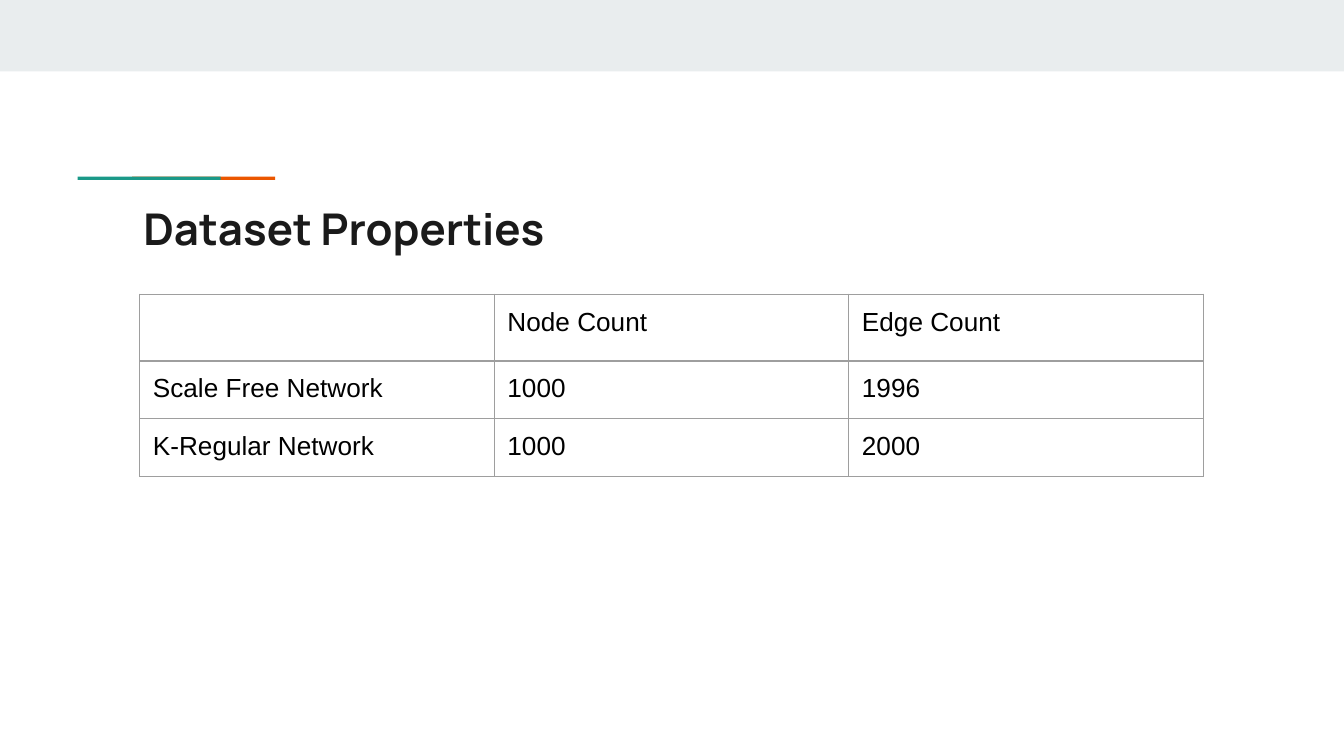
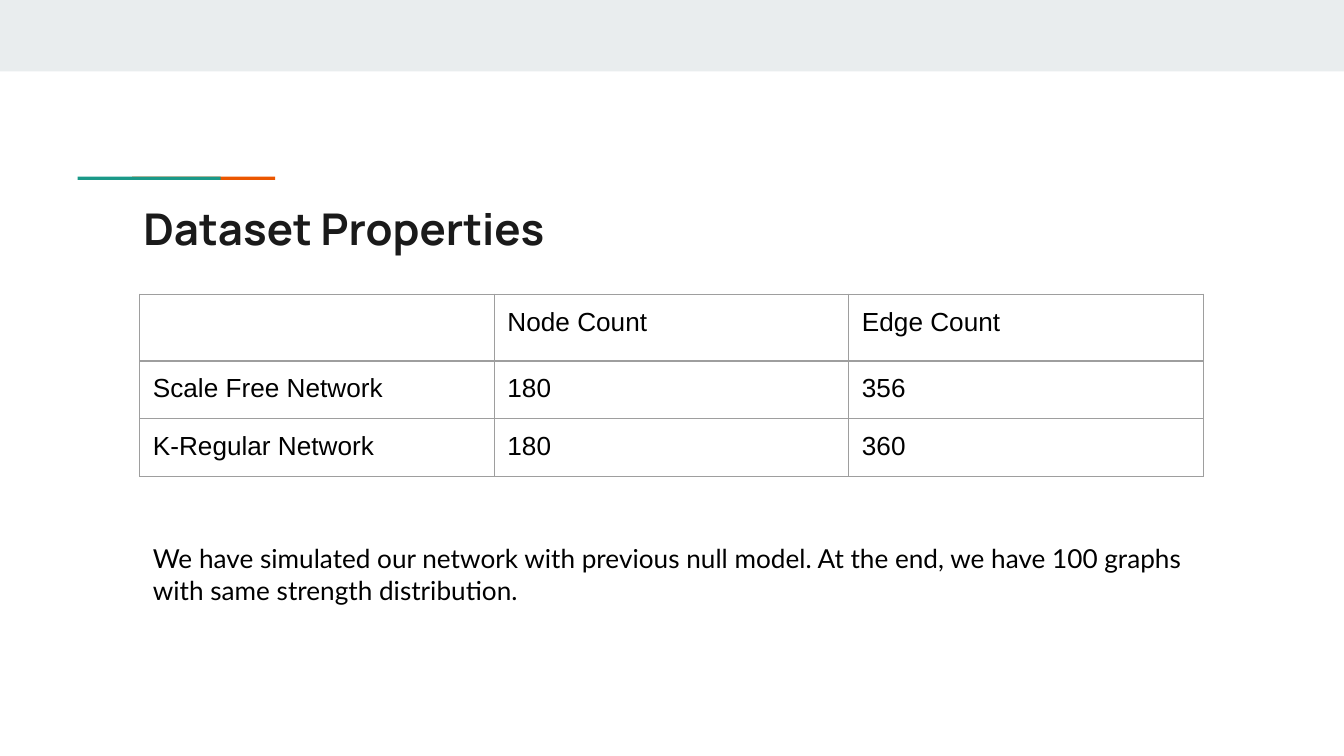
from dataclasses import dataclass

from lxml import etree
from pptx import Presentation
from pptx.dml.color import RGBColor
from pptx.enum.shapes import MSO_SHAPE
from pptx.enum.text import MSO_ANCHOR
from pptx.oxml.ns import qn
from pptx.util import Cm, Pt

RECTANGLE = MSO_SHAPE.RECTANGLE
TOP = MSO_ANCHOR.TOP
MIDDLE = MSO_ANCHOR.MIDDLE

TITLE = "Dataset Properties"
HEADER = ("", "Node Count", "Edge Count")
SLIDES = [
    {
        "rows": [
            ("Scale Free Network", "1000", "1996"),
            ("K-Regular Network", "1000", "2000"),
        ],
        "note": None,
    },
    {
        "rows": [
            ("Scale Free Network", "180", "356"),
            ("K-Regular Network", "180", "360"),
        ],
        "note": "We have simulated our network with previous null model. "
                "At the end, we have 100 graphs with same strength distribution.",
    },
]


@dataclass(frozen=True)
class Theme:
    band: str = "E9EDEE"
    orange: str = "EB5600"
    green: str = "1A9988"
    title: str = "1A1A1A"
    body: str = "000000"
    border: str = "9E9E9E"
    border_width: float = 0.75
    title_size: float = 23.4
    body_size: float = 14


THEME = Theme()
TITLE_FONT = {"name": "Manrope", "size": Pt(THEME.title_size), "bold": True}
TABLE_FONT = {"name": "Arial", "size": Pt(THEME.body_size), "bold": False}
NOTE_FONT = {"name": "Lato", "size": Pt(THEME.body_size), "bold": False}

SLIDE_WIDTH, SLIDE_HEIGHT = 25.4, 14.29
BAND_HEIGHT = 1.35
ACCENT_LEFT, ACCENT_TOP = 1.47, 3.34
ACCENT_LENGTH, ACCENT_HEIGHT, ACCENT_STEP = 2.7, 0.06, 1.03
TITLE_BOX = (2.46, 3.56, 21.36, 1.5)
TABLE_LEFT, TABLE_TOP = 2.64, 5.56
COLUMN_WIDTH = 6.7
HEADER_HEIGHT, ROW_HEIGHT = 1.21, 1.06
NOTE_BOX = (TABLE_LEFT, 10.01, len(HEADER) * COLUMN_WIDTH, 1.7)
INSETS = ("margin_left", "margin_top", "margin_right", "margin_bottom")
INSET = Cm(0.25)


def write_text(paragraph, text, font_format, color):
    run = paragraph.add_run()
    run.text = text
    for name, value in font_format.items():
        setattr(run.font, name, value)
    run.font.color.rgb = RGBColor.from_string(color)


def add_rectangle(slide, box, color):
    shape = slide.shapes.add_shape(RECTANGLE, *map(Cm, box))
    shape.shadow.inherit = False
    shape.fill.solid()
    shape.fill.fore_color.rgb = RGBColor.from_string(color)
    shape.line.fill.background()


def add_text(slide, box, text, font_format, color, anchor):
    frame = slide.shapes.add_textbox(*map(Cm, box)).text_frame
    frame.word_wrap = True
    frame.vertical_anchor = anchor
    for inset in INSETS:
        setattr(frame, inset, INSET)
    write_text(frame.paragraphs[0], text, font_format, color)


def add_borders(cell):
    properties = cell._tc.get_or_add_tcPr()
    for side in ("a:lnL", "a:lnR", "a:lnT", "a:lnB"):
        line = etree.SubElement(properties, qn(side), w=str(Pt(THEME.border_width)))
        fill = etree.SubElement(line, qn("a:solidFill"))
        etree.SubElement(fill, qn("a:srgbClr"), val=THEME.border)


def add_table(slide, rows):
    heights = [HEADER_HEIGHT] + [ROW_HEIGHT] * (len(rows) - 1)
    columns = len(rows[0])
    table = slide.shapes.add_table(
        len(rows), columns, Cm(TABLE_LEFT), Cm(TABLE_TOP),
        Cm(columns * COLUMN_WIDTH), Cm(sum(heights)),
    ).table
    table.first_row = False
    table.horz_banding = False
    for column in table.columns:
        column.width = Cm(COLUMN_WIDTH)
    for row_index, values in enumerate(rows):
        table.rows[row_index].height = Cm(heights[row_index])
        for column_index, value in enumerate(values):
            cell = table.cell(row_index, column_index)
            for inset in INSETS:
                setattr(cell, inset, INSET)
            add_borders(cell)
            cell.fill.background()
            write_text(cell.text_frame.paragraphs[0], value, TABLE_FONT, THEME.body)


def add_frame(slide):
    add_rectangle(slide, (0, 0, SLIDE_WIDTH, BAND_HEIGHT), THEME.band)
    for step, color in ((1, THEME.orange), (0, THEME.green)):
        left = ACCENT_LEFT + step * ACCENT_STEP
        add_rectangle(slide, (left, ACCENT_TOP, ACCENT_LENGTH, ACCENT_HEIGHT), color)
    add_text(slide, TITLE_BOX, TITLE, TITLE_FONT, THEME.title, MIDDLE)


def main():
    presentation = Presentation()
    presentation.slide_width = Cm(SLIDE_WIDTH)
    presentation.slide_height = Cm(SLIDE_HEIGHT)
    for content in SLIDES:
        slide = presentation.slides.add_slide(presentation.slide_layouts[6])
        add_frame(slide)
        add_table(slide, [HEADER] + content["rows"])
        if content["note"]:
            add_text(slide, NOTE_BOX, content["note"], NOTE_FONT, THEME.body, TOP)
    presentation.save("out.pptx")


if __name__ == "__main__":
    main()
